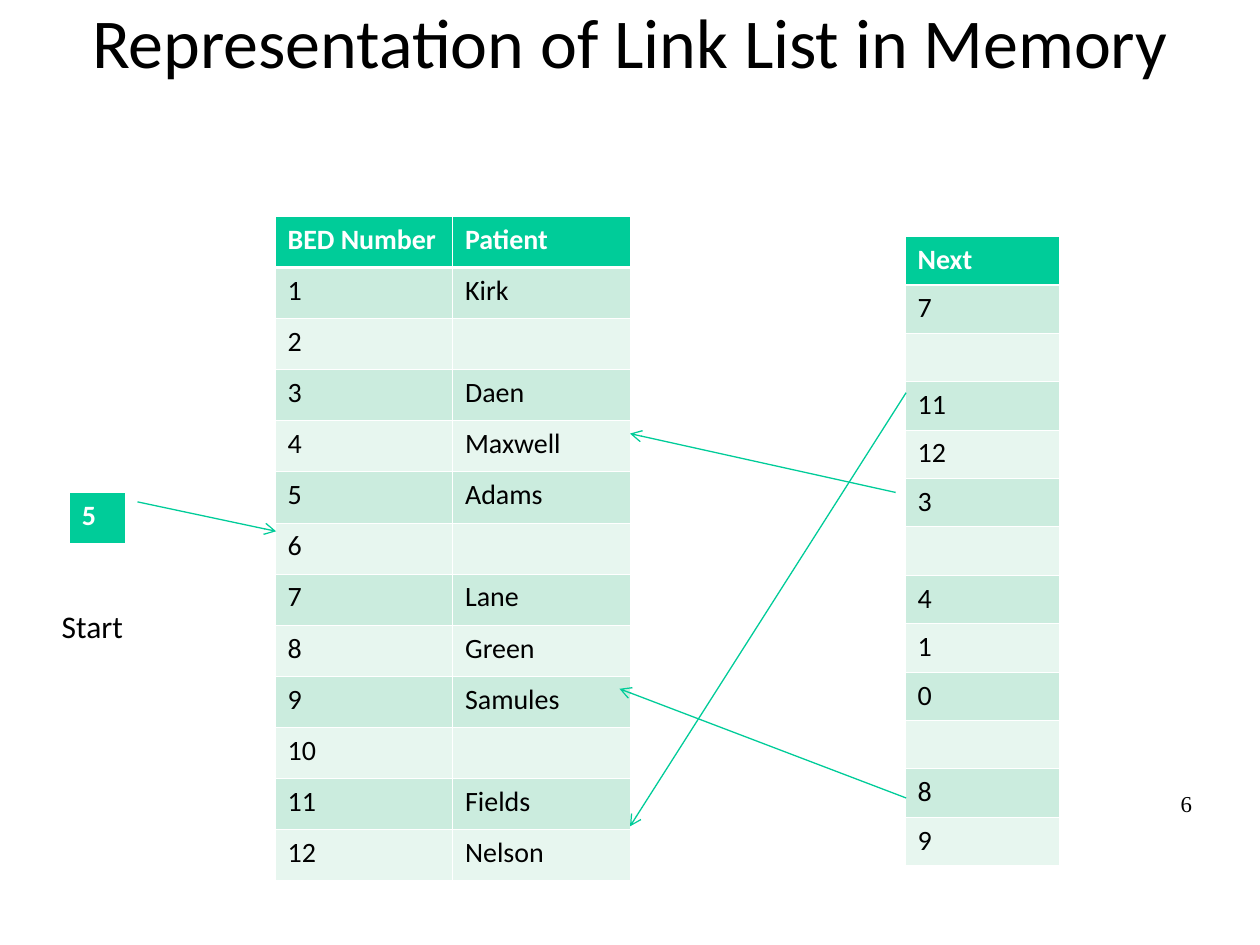
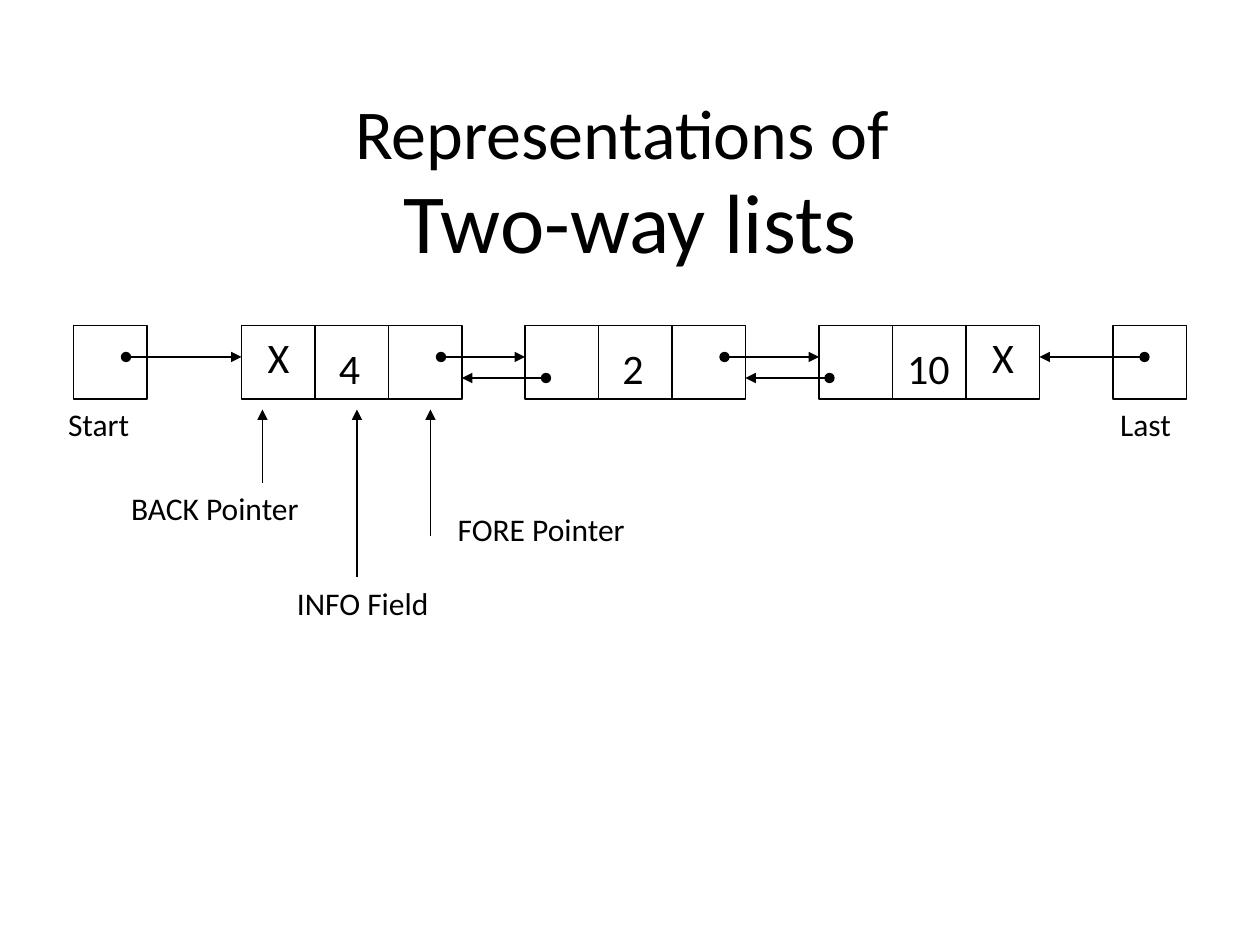
"""Builds two slides on how linked lists and two-way lists are held in memory."""
from lxml.etree import SubElement
from pptx import Presentation
from pptx.dml.color import RGBColor
from pptx.enum.shapes import MSO_CONNECTOR as Connector, MSO_SHAPE as Shape
from pptx.enum.text import MSO_ANCHOR as Anchor, MSO_AUTO_SIZE as AutoSize, PP_ALIGN as Align
from pptx.oxml.ns import qn
from pptx.util import Pt

PX = 7620
COLORS = {
    "ink": "000000",
    "white": "FFFFFF",
    "accent": "00CC99",
    "band": "CBECDE",
    "pale": "E7F6EF",
}


def px(length):
    """Turn px into EMU."""
    return length * PX


def color(name):
    """Look up a colour of the deck."""
    return RGBColor.from_string(COLORS[name])


class Deck:
    """Holds the shared style and the slide being filled."""

    def __init__(self):
        """Start an empty 1200 by 900 px deck."""
        self.prs = Presentation()
        self.prs.slide_width, self.prs.slide_height = px(1200), px(900)
        self.shapes = None

    def new_slide(self, title_lines, top, height):
        """Add a slide whose title has (text, size) lines."""
        self.shapes = self.prs.slides.add_slide(self.prs.slide_layouts[5]).shapes
        title = self.shapes.title
        title.left, title.top, title.width, title.height = map(px, (60, top, 1080, height))
        frame = title.text_frame
        frame.vertical_anchor = Anchor.MIDDLE
        frame.auto_size = AutoSize.NONE
        heading = frame.paragraphs[0]
        heading.alignment = Align.CENTER
        heading.line_spacing = 0.97
        self.style(heading, 40)
        for index, (text, size) in enumerate(title_lines):
            if index:
                heading.add_line_break()
            run = heading.add_run()
            run.text = text
            run.font.size = Pt(size)

    def style(self, paragraph, size, ink="ink", bold=False, face="Calibri"):
        """Set the font of a paragraph."""
        font = paragraph.font
        font.name, font.size, font.bold = face, Pt(size), bold
        font.color.rgb = color(ink)

    def label(self, text, left, top, width, height=48, size=18, wrap=False):
        """Add a left-aligned label and return its paragraph."""
        box = self.shapes.add_textbox(*map(px, (left, top, width, height)))
        frame = box.text_frame
        frame.word_wrap = wrap
        frame.auto_size = AutoSize.SHAPE_TO_FIT_TEXT
        paragraph = frame.paragraphs[0]
        paragraph.text = text
        self.style(paragraph, size)
        return paragraph

    def page_number(self, number):
        """Add the page number at the lower right."""
        paragraph = self.label(number, 1067, 752, 80, 68, wrap=True)
        paragraph.alignment = Align.RIGHT
        paragraph.line_spacing = 0.78
        self.style(paragraph, 13, face="Times New Roman")

    def square(self, left, top, side):
        """Add an outlined memory cell."""
        cell = self.shapes.add_shape(Shape.RECTANGLE, *map(px, (left, top, side, side)))
        cell.shadow.inherit = False
        cell.fill.background()
        cell.line.color.rgb = color("ink")
        cell.line.width = Pt(0.75)

    def arrow(self, start, end, ink="ink", head=None, tail="triangle"):
        """Add an arrow from start to end."""
        link = self.shapes.add_connector(Connector.STRAIGHT, *map(px, start + end))
        link.line.color.rgb = color(ink)
        link.line.width = Pt(0.75)
        properties = link._element.spPr
        outline = properties.find(qn("a:ln"))
        for tag, kind in (("a:headEnd", head), ("a:tailEnd", tail)):
            if kind:
                SubElement(outline, qn(tag), type=kind)
        SubElement(properties, qn("a:effectLst"))

    def border(self, cell, side, points):
        """Draw one white border of a table cell."""
        line = SubElement(cell._tc.get_or_add_tcPr(), qn(f"a:ln{side}"), w=str(Pt(points)))
        fill = SubElement(line, qn("a:solidFill"))
        SubElement(fill, qn("a:srgbClr"), val=COLORS["white"])

    def table(self, rows, left, top, width, height):
        """Add a banded table with a header row and equal rows and columns."""
        grid = self.shapes.add_table(
            len(rows), len(rows[0]), *map(px, (left, top, width, height))).table
        for column in grid.columns:
            column.width = px(width) // len(rows[0])
        for index, row in enumerate(rows):
            grid.rows[index].height = px(height) // len(rows)
            header = index == 0
            fill = "accent" if header else ("pale", "band")[index % 2]
            for column, text in enumerate(row):
                cell = grid.cell(index, column)
                for side in "LRTB":
                    thick = (side, index) in (("B", 0), ("T", 1))
                    self.border(cell, side, 1.47 if thick else 0.45)
                cell.fill.solid()
                cell.fill.fore_color.rgb = color(fill)
                paragraph = cell.text_frame.paragraphs[0]
                if text:
                    paragraph.text = text
                self.style(paragraph, 16, "white" if header else "ink", header)


def link_list(deck):
    """Show the patients as a linked list in memory."""
    deck.new_slide([("Representation of Link List in Memory", 40)], 0, 84)
    patients = ["Kirk", "", "Daen", "Maxwell", "Adams", "", "Lane", "Green",
                "Samules", "", "Fields", "Nelson"]
    following = ["7", "", "11", "12", "3", "", "4", "1", "0", "", "8", "9"]
    beds = [(str(bed), patient) for bed, patient in enumerate(patients, 1)]
    deck.table([("BED Number", "Patient")] + beds, 262, 206, 338, 633)
    deck.table([("Next",)] + [(bed,) for bed in following], 862, 225, 147, 600)
    deck.table([("5",)], 66, 469, 53, 49)
    deck.label("Start", 47, 572, 84, 84, wrap=True)
    for start, end in (
        ((131, 478), (263, 506)),
        ((853, 469), (600, 413)),
        ((863, 374), (600, 787)),
        ((863, 760), (590, 656)),
    ):
        deck.arrow(start, end, "accent", tail="arrow")
    deck.page_number("6")


def two_way_list(deck):
    """Show a two-way list of three nodes."""
    deck.new_slide([("Representations of ", 40), ("Two-way lists", 48)], 80, 190)
    side, top = 70, 310
    nodes = [230, 500, 780]
    fields = [node + side * slot for node in nodes for slot in range(3)]
    for left in [70, *fields, 1060]:
        deck.square(left, top, side)
    for text, left, value_top, width in (
        ("X", 243, top, 46),
        ("4", 311, 320, 46),
        ("2", 581, 320, 46),
        ("10", 852, 320, 68),
        ("X", 933, top, 46),
    ):
        deck.label(text, left, value_top, width, 60, 24)
    for start, end, level in (
        (120, 230, 340),
        (420, 500, 340),
        (690, 780, 340),
        (1090, 990, 340),
        (520, 440, 360),
        (790, 710, 360),
    ):
        deck.arrow((start, level), (end, level), head="oval")
    for field, bottom in ((250, 460), (340, 550), (410, 510)):
        deck.arrow((field, bottom), (field, 390))
    for text, left, label_top, width in (
        ("Start", 53, 380, 86),
        ("Last", 1055, 380, 78),
        ("BACK Pointer", 113, 460, 188),
        ("FORE Pointer", 424, 480, 188),
        ("INFO Field", 271, 550, 152),
    ):
        deck.label(text, left, label_top, width)


def main():
    """Build and save the deck."""
    deck = Deck()
    link_list(deck)
    two_way_list(deck)
    deck.prs.save("out.pptx")


if __name__ == "__main__":
    main()
